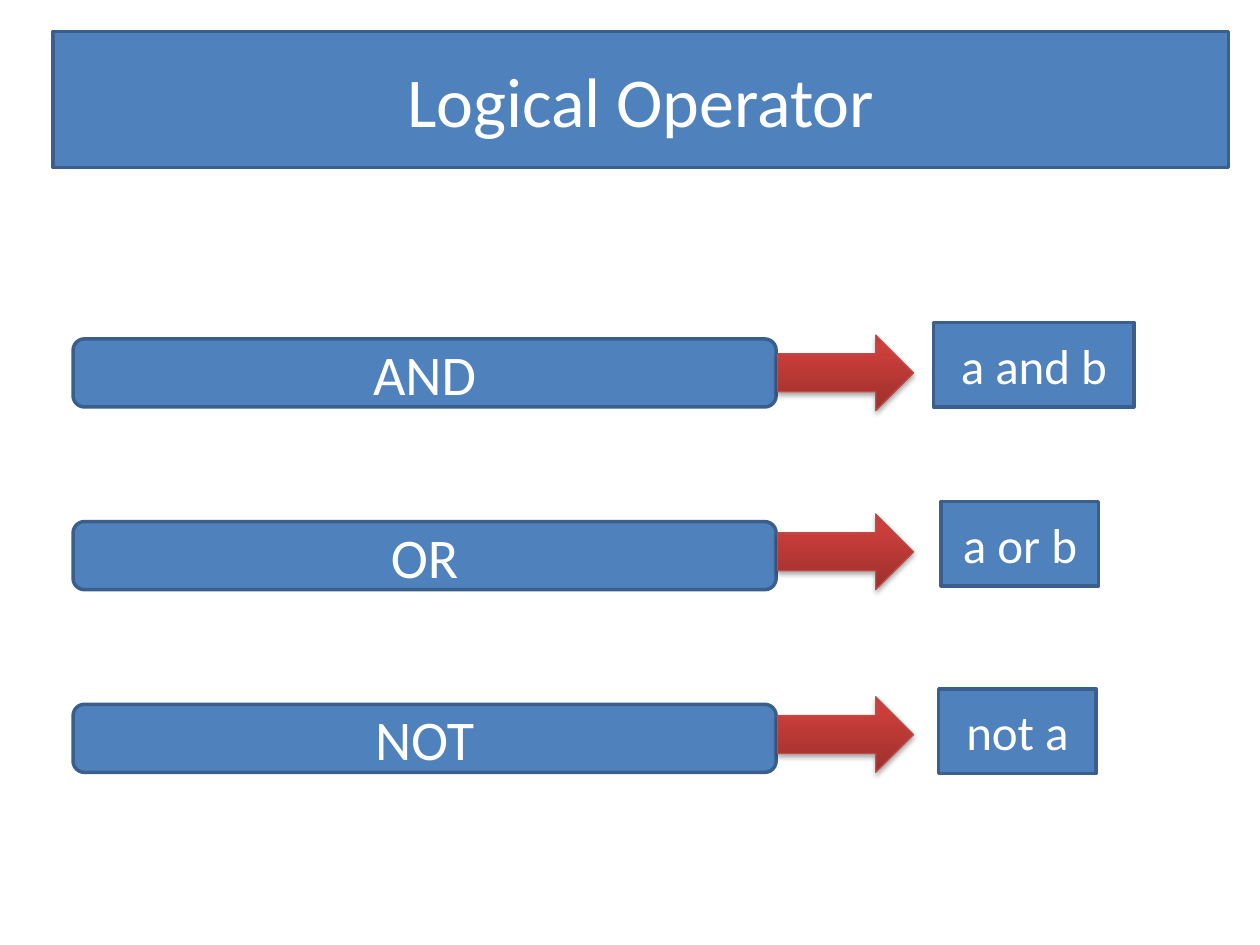
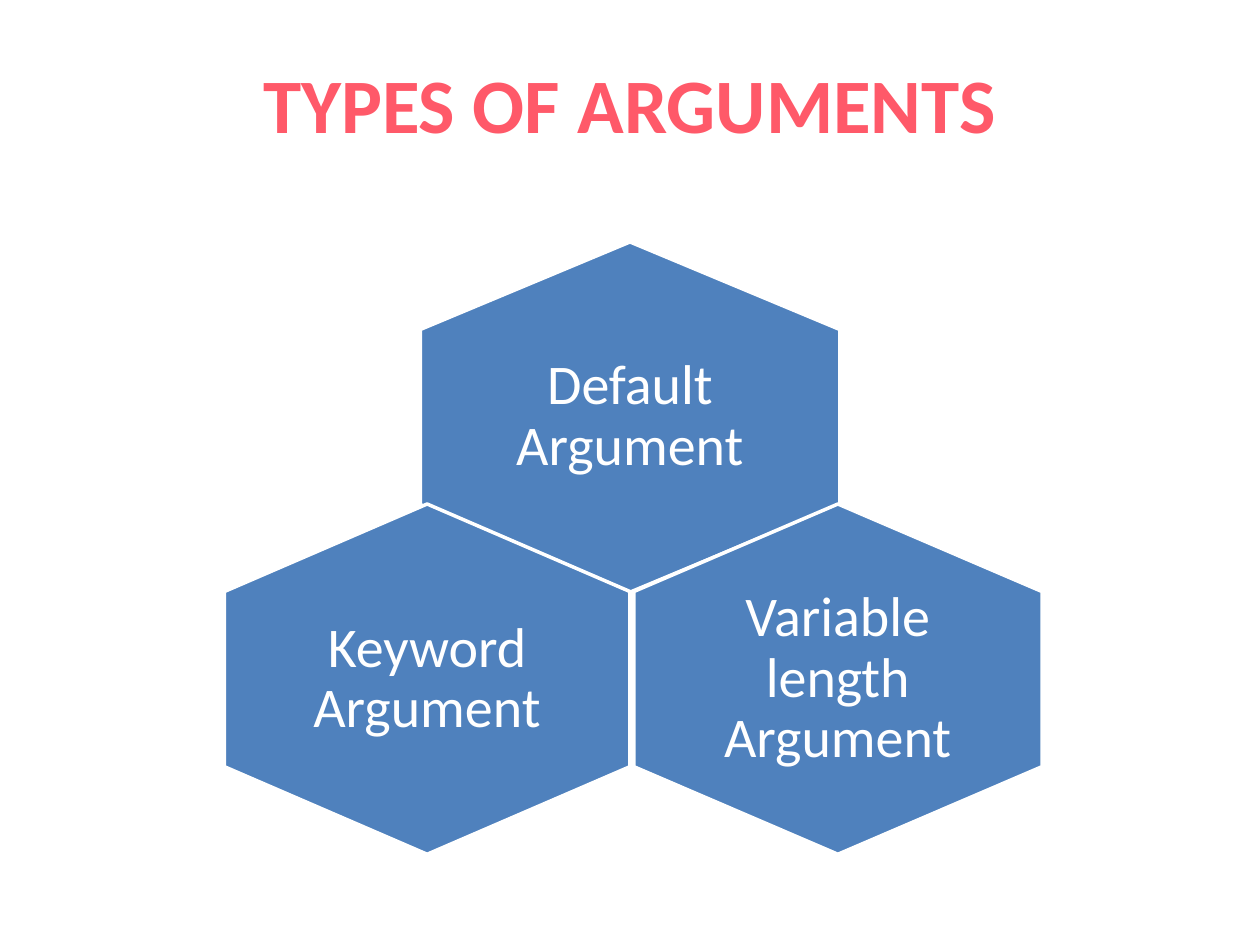
"""Build two slides: logical operators and types of arguments."""
from pptx import Presentation
from pptx.dml.color import RGBColor
from pptx.enum.shapes import MSO_SHAPE as Shape
from pptx.enum.text import MSO_ANCHOR as Anchor, PP_ALIGN as Align
from pptx.oxml import parse_xml
from pptx.oxml.ns import nsdecls
from pptx.util import Inches, Pt

FONT = "Calibri"
BLUE, NAVY, WHITE, CORAL, RED = "4F81BD", "3A5F8C", "FFFFFF", "FF5969", "BF4C48"
color = RGBColor.from_string

ARROW_FILL = f"""<a:gradFill {nsdecls('a')} rotWithShape="1"><a:gsLst>
<a:gs pos="0"><a:srgbClr val="9C2F2D"/></a:gs>
<a:gs pos="80000"><a:srgbClr val="CB3E3A"/></a:gs>
<a:gs pos="100000"><a:srgbClr val="CE3B37"/></a:gs>
</a:gsLst><a:lin ang="16200000" scaled="0"/></a:gradFill>"""
ARROW_SHADOW = f"""<a:effectLst {nsdecls('a')}>
<a:outerShdw blurRad="40000" dist="23000" dir="5400000" rotWithShape="0">
<a:srgbClr val="000000"><a:alpha val="35000"/></a:srgbClr>
</a:outerShdw></a:effectLst>"""


def style(shape, fill=BLUE, line=NAVY, width=2):
    shape.fill.solid()
    shape.fill.fore_color.rgb = color(fill)
    shape.line.color.rgb = color(line)
    shape.line.width = Pt(width)


def write(shape, text, size=32, tint=WHITE, bold=False, spacing=None, inset=None):
    frame = shape.text_frame
    frame.word_wrap = True
    frame.vertical_anchor = Anchor.MIDDLE
    if inset is not None:
        frame.margin_left = frame.margin_right = Inches(inset)
        frame.margin_top = frame.margin_bottom = Inches(inset)
    para = frame.paragraphs[0]
    para.alignment = Align.CENTER
    para.line_spacing = spacing
    span = para.add_run()
    span.text = text
    span.font.name, span.font.size, span.font.bold = FONT, Pt(size), bold
    span.font.color.rgb = color(tint)


deck = Presentation()
deck.slide_width, deck.slide_height = Inches(10), Inches(7.5)
title_only = deck.slide_layouts[5]

titles = [
    ("Logical Operator", (0.42, 0.25, 9.33, 1.08), dict(size=40)),
    ("TYPES OF ARGUMENTS", (0.5, 0.19, 9, 1.25), dict(size=44, tint=CORAL, bold=True)),
]
pages = []
for text, place, look in titles:
    page = deck.slides.add_slide(title_only)
    title = page.shapes.title
    title.left, title.top, title.width, title.height = map(Inches, place)
    write(title, text, **look)
    pages.append(page)
operators, arguments = pages
style(operators.shapes.title)

BAR_LEFT, BAR_WIDTH, BAR_HEIGHT = 0.58, 5.58, 0.54
ARROW_LEFT, ARROW_WIDTH, ARROW_HEIGHT = 6.17, 1.08, 0.6
FIRST_ROW, ROW_PITCH, RESULT_HEIGHT = 2.69, 1.45, 0.67
rows = [
    ("AND", 2.66, "a and b", 7.41, 1.59),
    ("OR", 4.08, "a or b", 7.47, 1.25),
    ("NOT", 5.53, "not a", 7.45, 1.25),
]
for index, (name, arrow_top, example, result_left, result_width) in enumerate(rows):
    bar_top = FIRST_ROW + index * ROW_PITCH
    result_top = arrow_top - (0.06 if name == "NOT" else 0.1)
    bar = operators.shapes.add_shape(
        Shape.ROUNDED_RECTANGLE, Inches(BAR_LEFT), Inches(bar_top),
        Inches(BAR_WIDTH), Inches(BAR_HEIGHT))
    arrow = operators.shapes.add_shape(
        Shape.RIGHT_ARROW, Inches(ARROW_LEFT), Inches(arrow_top),
        Inches(ARROW_WIDTH), Inches(ARROW_HEIGHT))
    result = operators.shapes.add_shape(
        Shape.RECTANGLE, Inches(result_left), Inches(result_top),
        Inches(result_width), Inches(RESULT_HEIGHT))
    for box, text, size in ((bar, name, 32), (result, example, 28)):
        box.shadow.inherit = False
        style(box)
        write(box, text, size)
    properties = arrow._element.spPr
    properties.insert(2, parse_xml(ARROW_FILL))
    arrow.line.color.rgb = color(RED)
    arrow.line.width = Pt(0.75)
    properties.append(parse_xml(ARROW_SHADOW))

HEXAGON_HEIGHT, LABEL_WIDTH, LABEL_HEIGHT = 2.78, 2.2, 1.85
TOP_ROW, BOTTOM_ROW = 3.31, 5.39
hexagons = [
    ("Default Argument", 5, TOP_ROW, 3.33),
    ("Keyword Argument", 3.39, BOTTOM_ROW, 3.22),
    ("Variable length Argument", 6.65, BOTTOM_ROW, 3.24),
]
for text, center, middle, width in hexagons:
    hexagon = arguments.shapes.add_shape(
        Shape.HEXAGON, Inches(center - HEXAGON_HEIGHT / 2), Inches(middle - width / 2),
        Inches(HEXAGON_HEIGHT), Inches(width))
    hexagon.rotation = 90
    hexagon.adjustments[0] = 0.25
    hexagon.shadow.inherit = False
    style(hexagon, line=WHITE)
    label = arguments.shapes.add_textbox(
        Inches(center - LABEL_WIDTH / 2), Inches(middle - LABEL_HEIGHT / 2),
        Inches(LABEL_WIDTH), Inches(LABEL_HEIGHT))
    write(label, text, spacing=0.9, inset=0)

deck.save("out.pptx")
